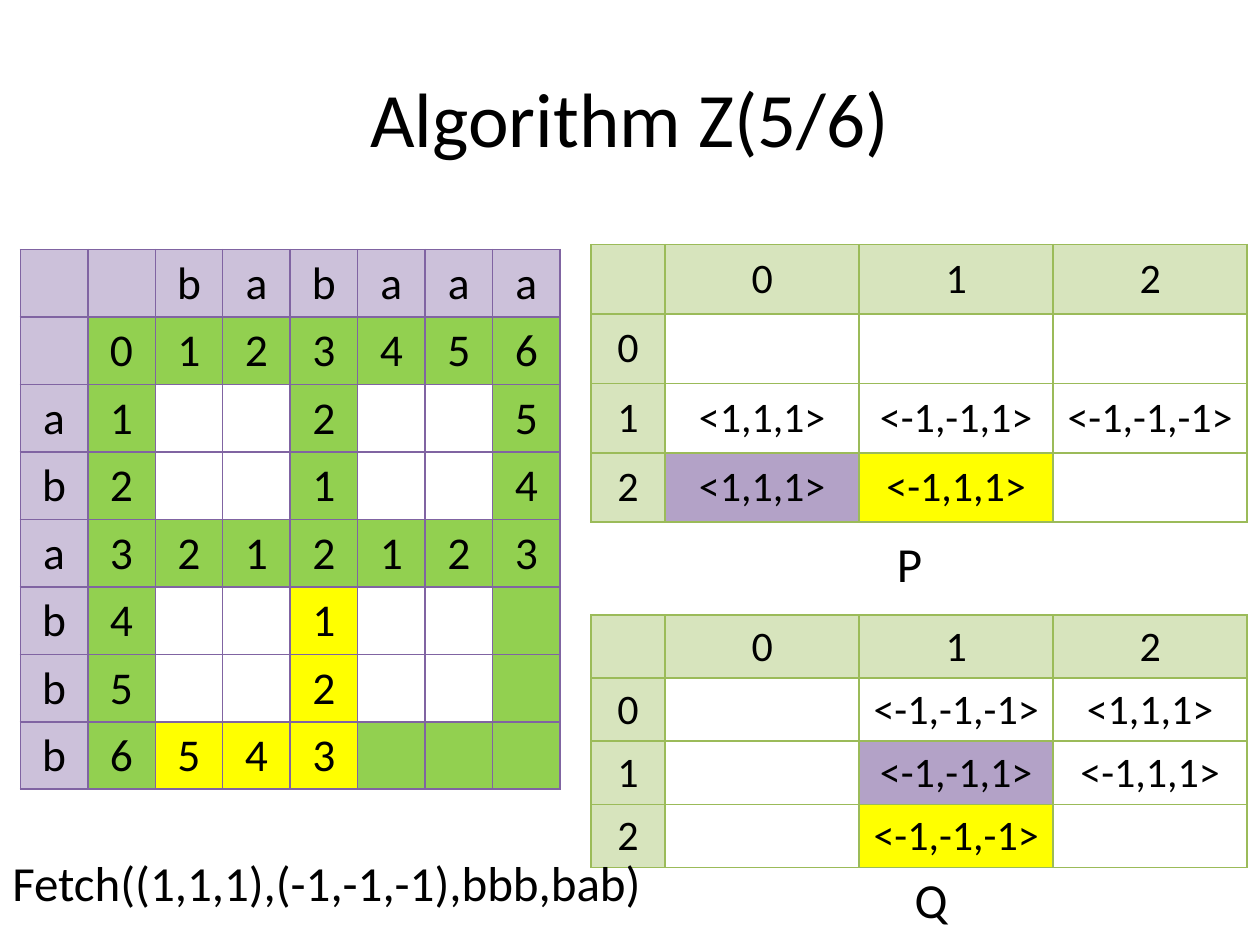
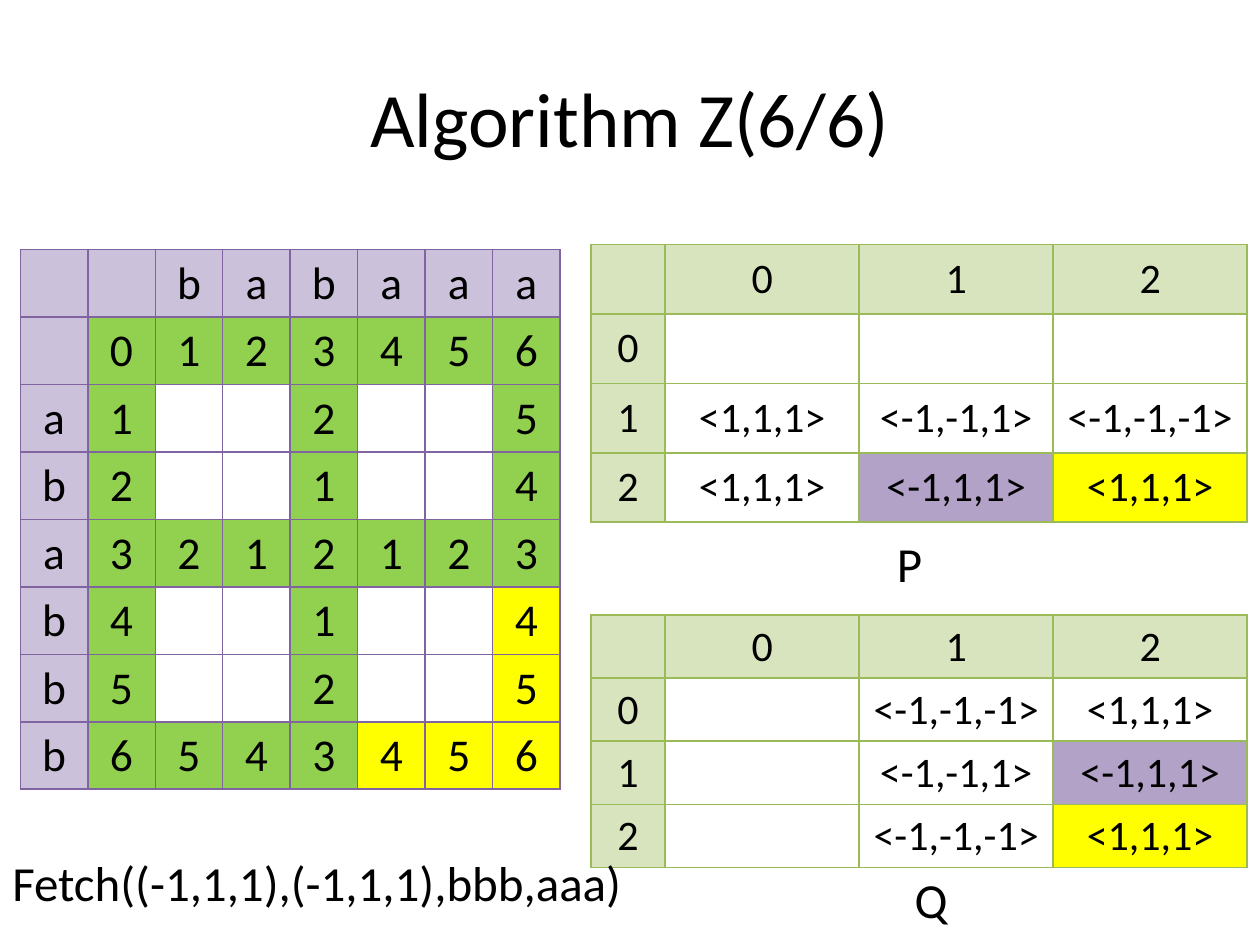
from lxml import etree
from pptx import Presentation
from pptx import util as u
from pptx.dml import color
from pptx.enum import text as t
from pptx.oxml import ns

FONT = "Calibri"
BLACK, YELLOW, MAUVE = "000000", "FFFF00", "B3A2C7"
LILAC, PURPLE, GREEN = "CCC1DA", "8064A2", "92D050"
PALE_GREEN, OLIVE = "D7E4BD", "9BBB59"

# Edit-distance matrix: first row and column hold the two words
WORD_ROW = "  babaaa"
BLOCK_EDGES = (1, 4, 7)
DISTANCES = [
    WORD_ROW,
    " 0123456",
    "a1  2  5",
    "b2  1  4",
    "a3212123",
    "b4  1   ",
    "b5  2   ",
    "b6543   ",
]
P_ROWS = [
    ["", "0", "1", "2"],
    ["0", "", "", ""],
    ["1", "<1,1,1>", "<-1,-1,1>", "<-1,-1,-1>"],
    ["2", "<1,1,1>", "<-1,1,1>", ""],
]
Q_ROWS = [
    ["", "0", "1", "2"],
    ["0", "", "<-1,-1,-1>", "<1,1,1>"],
    ["1", "", "<-1,-1,1>", "<-1,1,1>"],
    ["2", "", "<-1,-1,-1>", ""],
]


def rgb(hex_string):
    return color.RGBColor.from_string(hex_string)


def write(frame, words, size, align=t.PP_ALIGN.LEFT):
    """Put one formatted paragraph into a text frame."""
    paragraph = frame.paragraphs[0]
    paragraph.alignment = align
    run = paragraph.add_run()
    run.text = words
    run.font.name, run.font.size, run.font.bold = FONT, u.Pt(size), False
    run.font.color.rgb = rgb(BLACK)


def add_borders(cell, hex_string):
    properties = cell._tc.get_or_add_tcPr()
    for place, side in enumerate(("lnL", "lnR", "lnT", "lnB")):
        line = etree.Element(ns.qn(f"a:{side}"), w=str(u.Pt(1)))
        fill = etree.SubElement(line, ns.qn("a:solidFill"))
        etree.SubElement(fill, ns.qn("a:srgbClr"), val=hex_string)
        properties.insert(place, line)


def add_grid(slide, box, rows, widths, row_height, size, border, fill_of):
    """Draw a bordered table; fill_of(row, column) gives a colour or None."""
    left, top = box
    table = slide.shapes.add_table(
        len(rows), len(widths), u.Cm(left), u.Cm(top),
        u.Cm(sum(widths)), u.Cm(row_height * len(rows))).table
    table.first_row = table.horz_banding = False
    for column, width in zip(table.columns, widths):
        column.width = u.Cm(width)
    for r, values in enumerate(rows):
        table.rows[r].height = u.Cm(row_height)
        for c, value in enumerate(values):
            cell = table.cell(r, c)
            cell.vertical_anchor = t.MSO_ANCHOR.MIDDLE
            cell.margin_left = cell.margin_right = u.Cm(0.1)
            if value.strip():
                write(cell.text_frame, value, size, t.PP_ALIGN.CENTER)
            fill = fill_of(r, c)
            if fill:
                cell.fill.solid()
                cell.fill.fore_color.rgb = rgb(fill)
            else:
                cell.fill.background()
            add_borders(cell, border)


def add_title(slide, box, words):
    frame = slide.shapes.add_textbox(*map(u.Cm, box)).text_frame
    frame.word_wrap = True
    frame.vertical_anchor = t.MSO_ANCHOR.MIDDLE
    write(frame, words, 44, t.PP_ALIGN.CENTER)


def add_label(slide, box, words):
    frame = slide.shapes.add_textbox(*map(u.Cm, box)).text_frame
    frame.word_wrap = False
    frame.auto_size = t.MSO_AUTO_SIZE.SHAPE_TO_FIT_TEXT
    write(frame, words, 28)


def add_distances(slide, box, rows, fresh):
    """Matrix with green block edges and newly computed cells in yellow."""
    def fill_of(r, c):
        if r == 0 or c == 0:
            return LILAC
        if (r, c) in fresh:
            return YELLOW
        return GREEN if r in BLOCK_EDGES or c in BLOCK_EDGES else None

    add_grid(slide, box, rows, [1.36] * len(WORD_ROW), 1.36, 26, PURPLE, fill_of)


def add_offsets(slide, box, rows, row_height, used, result):
    """Offset table with the fetched cell in mauve and its result in yellow."""
    marks = {used: MAUVE, result: YELLOW}

    def fill_of(r, c):
        return PALE_GREEN if r == 0 or c == 0 else marks.get((r, c))

    add_grid(slide, box, rows, [1.5] + [3.91] * 3, row_height, 24, OLIVE, fill_of)


def with_values(rows, values):
    """Copy of a table's rows with some cells replaced."""
    return [[values.get((r, c), value) for c, value in enumerate(row)]
            for r, row in enumerate(rows)]


def add_step(deck, title, distances, fresh, p, q, fetch, fetch_width):
    slide = deck.slides.add_slide(deck.slide_layouts[6])
    add_title(slide, (1.27, 0.76, 22.86, 3.18), title)
    add_distances(slide, (0.41, 5.03), distances, fresh)
    add_offsets(slide, (11.91, 4.93), p[0], 1.4, *p[1:])
    add_offsets(slide, (11.91, 12.4), q[0], 1.27, *q[1:])
    add_label(slide, (17.83, 10.64, 1.04, 1.45), "P")
    add_label(slide, (18.19, 17.4, 1.19, 1.45), "Q")
    add_label(slide, (0, 17.07, fetch_width, 1.45), fetch)


def main():
    deck = Presentation()
    deck.slide_width, deck.slide_height = u.Cm(25.4), u.Cm(19.05)

    # Step 5: lower left block
    add_step(deck, "Algorithm Z(5/6)", DISTANCES,
             {(5, 4), (6, 4), (7, 2), (7, 3), (7, 4)},
             (P_ROWS, (3, 1), (3, 2)), (Q_ROWS, (2, 2), (3, 2)),
             "Fetch((1,1,1),(-1,-1,-1),bbb,bab)", 13.36)

    # Step 6: lower right block
    block = {(5, 7): "4", (6, 7): "5", (7, 5): "4", (7, 6): "5", (7, 7): "6"}
    offset = {(3, 3): "<1,1,1>"}
    add_step(deck, "Algorithm Z(6/6)", with_values(DISTANCES, block), block,
             (with_values(P_ROWS, offset), (3, 2), (3, 3)),
             (with_values(Q_ROWS, offset), (2, 3), (3, 3)),
             "Fetch((-1,1,1),(-1,1,1),bbb,aaa)", 12.95)

    deck.save("out.pptx")


if __name__ == "__main__":
    main()
